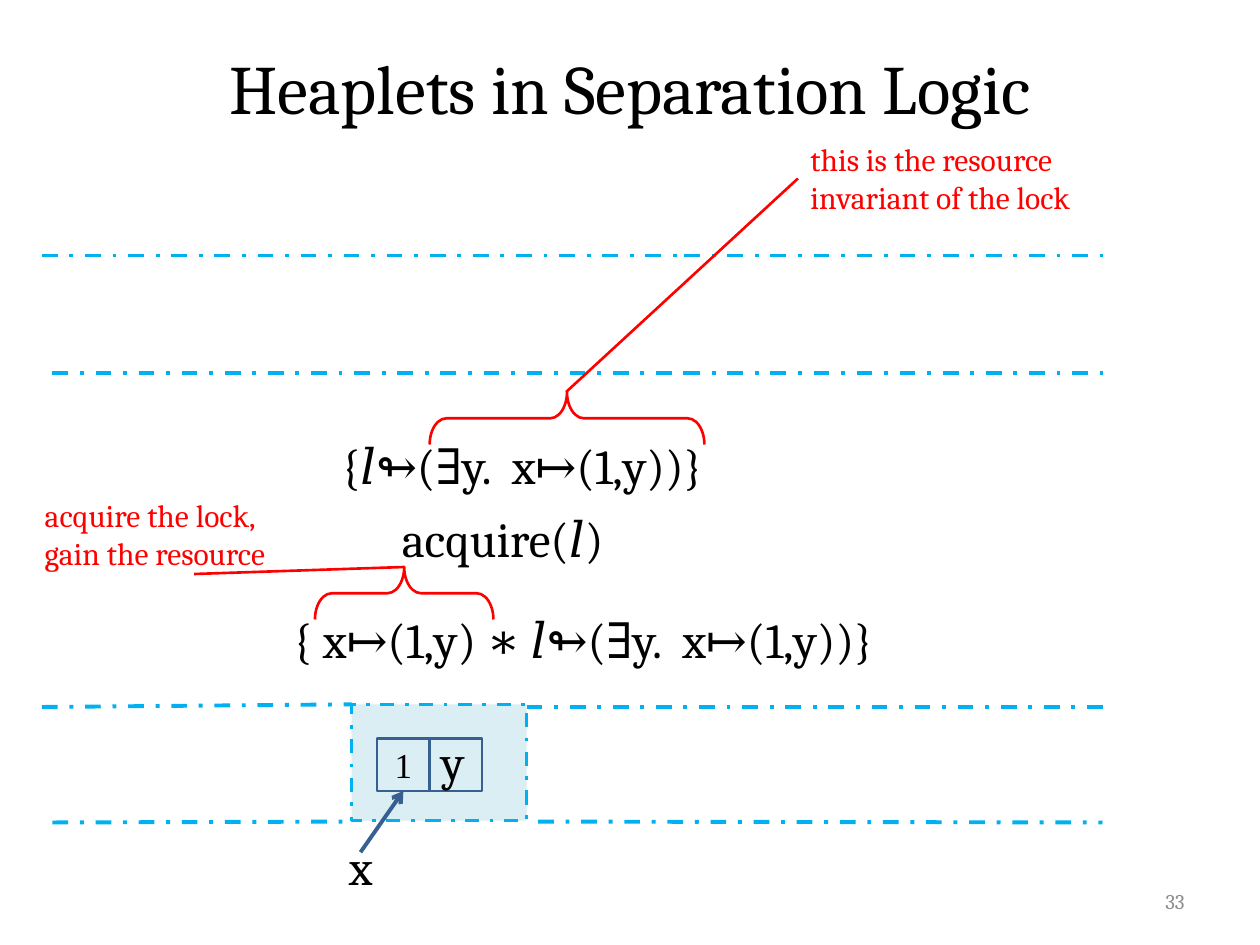
from pptx import Presentation
from pptx.dml.color import RGBColor
from pptx.enum.dml import MSO_LINE
from pptx.enum.shapes import MSO_CONNECTOR, MSO_SHAPE
from pptx.enum.text import MSO_ANCHOR, MSO_AUTO_SIZE, PP_ALIGN
from pptx.oxml.ns import qn
from pptx.util import Pt
from lxml.etree import SubElement

COLORS = {
    "text": "000000",
    "number": "8C8C8C",
    "note": "FF0000",
    "boundary": "00B0F0",
    "heaplet": "DBEEF4",
    "cell": "376092",
}
MAIN_FONT = "Cambria"
CELL = 30


def rgb(role):
    return RGBColor.from_string(COLORS[role])


def apply_format(target, values):
    for attribute, value in values.items():
        setattr(target, attribute, value)


def write(frame, lines, size, role="text", font=MAIN_FONT, align=PP_ALIGN.LEFT, **frame_format):
    apply_format(frame, frame_format)
    for index, line in enumerate(lines):
        paragraph = frame.paragraphs[0] if index == 0 else frame.add_paragraph()
        paragraph.alignment = align
        run = paragraph.add_run()
        run.text = line
        apply_format(run.font, {"name": font, "size": Pt(size)})
        run.font.color.rgb = rgb(role)


def style_line(line, role, width, dash=None):
    line.color.rgb = rgb(role)
    apply_format(line, {"width": Pt(width), "dash_style": dash})


def add_title(slide, text):
    title = slide.shapes.title
    apply_format(title, {"left": Pt(36), "top": Pt(21.6), "width": Pt(648), "height": Pt(56)})
    write(title.text_frame, [text], 39.6, align=PP_ALIGN.CENTER,
          vertical_anchor=MSO_ANCHOR.MIDDLE, auto_size=MSO_AUTO_SIZE.NONE)


def add_label(slide, box, lines, size=28, role="text", wrap=False):
    label = slide.shapes.add_textbox(*map(Pt, box))
    write(label.text_frame, lines, size, role, word_wrap=wrap,
          auto_size=MSO_AUTO_SIZE.SHAPE_TO_FIT_TEXT)


def add_slide_number(slide, text):
    number = slide.shapes.add_textbox(Pt(516), Pt(500.5), Pt(168), Pt(28.75))
    write(number.text_frame, [text], 12, "number", align=PP_ALIGN.RIGHT,
          word_wrap=True, vertical_anchor=MSO_ANCHOR.MIDDLE)


def add_line(slide, start, end, role, width, dash=None, arrow=False):
    line = slide.shapes.add_connector(MSO_CONNECTOR.STRAIGHT, *map(Pt, (*start, *end)))
    style_line(line.line, role, width, dash)
    properties = line._element.spPr
    if arrow:
        SubElement(properties.find(qn("a:ln")), qn("a:tailEnd"), type="arrow")
    SubElement(properties, qn("a:effectLst"))


def add_boundary(slide, start, end):
    add_line(slide, start, end, "boundary", 2.25, MSO_LINE.DASH_DOT)


def add_outline(slide, kind, box, role, width, fill=None, dash=None):
    outline = slide.shapes.add_shape(kind, *map(Pt, box))
    outline.shadow.inherit = False
    if fill:
        outline.fill.solid()
        outline.fill.fore_color.rgb = rgb(fill)
    else:
        outline.fill.background()
    style_line(outline.line, role, width, dash)
    return outline


def add_cell(slide, left, value=None):
    cell = add_outline(slide, MSO_SHAPE.RECTANGLE, (left, 422, CELL, CELL), "cell", 1.5)
    if value:
        write(cell.text_frame, [value], 20, font="Times New Roman", align=PP_ALIGN.CENTER,
              margin_left=0, margin_right=0, margin_top=0, margin_bottom=0,
              word_wrap=False, vertical_anchor=MSO_ANCHOR.MIDDLE)


def add_brace(slide, center, span):
    x, y = center
    box = (x - CELL / 2, y - span / 2, CELL, span)
    brace = add_outline(slide, MSO_SHAPE.RIGHT_BRACE, box, "note", 1.5)
    brace.rotation = 270
    brace.adjustments[0] = 0.32
    brace.adjustments[1] = 0.5


def add_heap(slide):
    add_outline(slide, MSO_SHAPE.RECTANGLE, (201, 402.5, 100, 66.5), "boundary", 2,
                "heaplet", MSO_LINE.DASH_DOT)
    add_cell(slide, 215.5, "1")
    add_cell(slide, 215.5 + CELL)
    add_line(slide, (206, 487), (230.5, 452), "cell", 2.25, arrow=True)
    add_label(slide, (192.25, 474.5, 28, 41), ["x"])
    add_label(slide, (244.8, 414.7, 29, 41), ["y"])


def main():
    deck = Presentation()
    apply_format(deck, {"slide_width": Pt(720), "slide_height": Pt(540)})
    slide = deck.slides.add_slide(deck.slide_layouts[5])
    add_title(slide, "Heaplets in Separation Logic")
    add_slide_number(slide, "33")

    add_label(slide, (188, 245.5, 238.3, 41), ["{𝑙↬(∃y.  x↦(1,y))}"])
    add_label(slide, (222.5, 287.3, 137.5, 41), ["acquire(𝑙)"])

    for left, y in ((24, 146), (30, 213)):
        add_boundary(slide, (391, y), (630, y))
        add_boundary(slide, (left, y), (391, y))

    add_heap(slide)
    for start, end in (
        ((301, 404), (630, 404)),
        ((307.5, 469.5), (630, 470)),
        ((24, 404), (201, 402.5)),
        ((30, 470), (201, 469.5)),
    ):
        add_boundary(slide, start, end)
    add_label(slide, (160.5, 345, 368, 41), ["{ x↦(1,y) ∗ 𝑙↬(∃y.  x↦(1,y))}"])

    add_brace(slide, (324, 239), 157)
    add_line(slide, (323.5, 224), (456, 102), "note", 1.5)
    add_label(slide, (456, 76.3, 222, 51), ["this is the resource invariant of the lock"],
              18, "note", True)

    add_brace(slide, (231, 339), 102)
    add_line(slide, (231, 324), (111, 328), "note", 1.5)
    add_label(slide, (18.5, 280, 222, 51), ["acquire the lock,", "gain the resource"],
              18, "note", True)
    deck.save("out.pptx")


if __name__ == "__main__":
    main()
